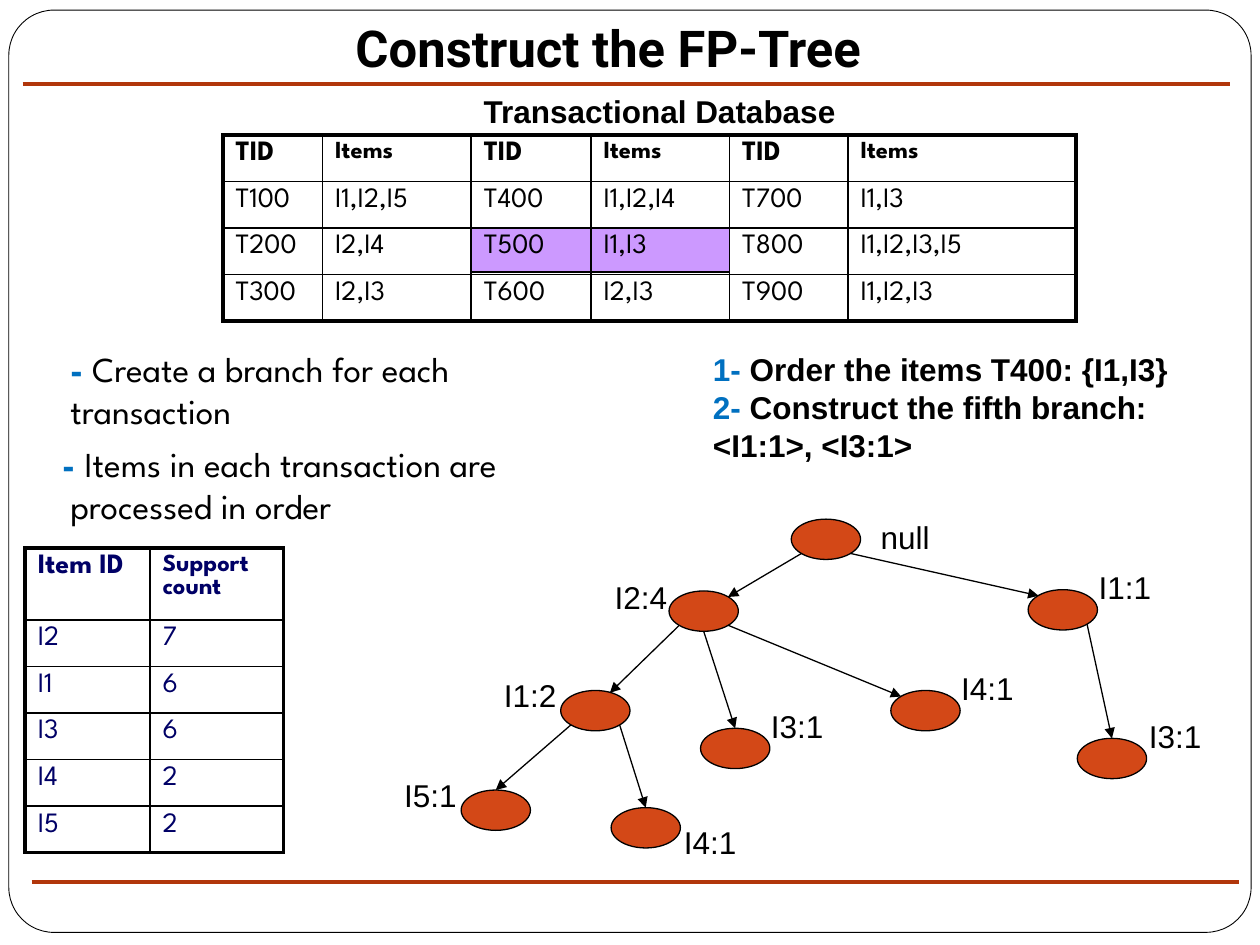
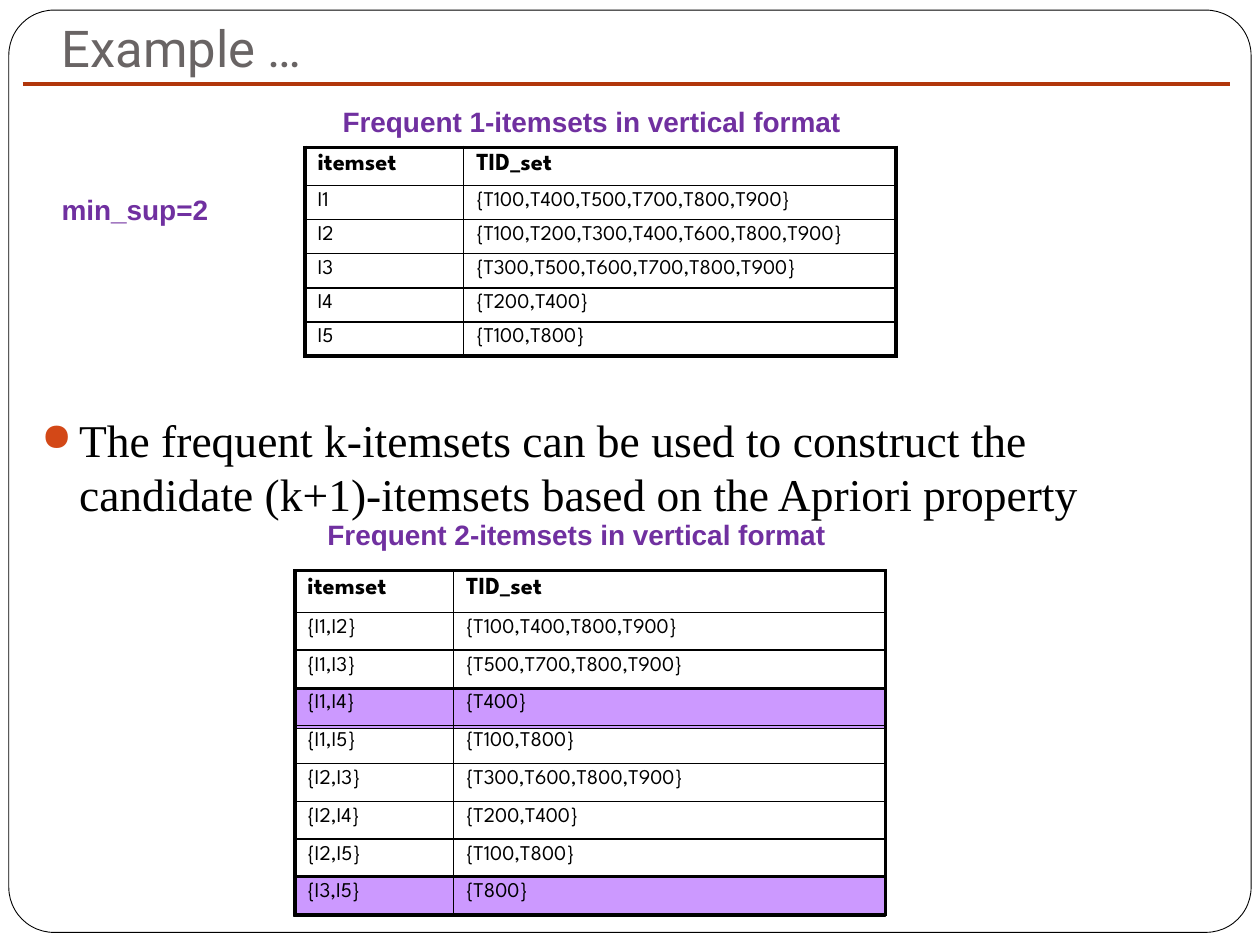
from dataclasses import dataclass

from lxml.etree import SubElement
from pptx import Presentation
from pptx.dml.color import RGBColor as RGB
from pptx.enum.shapes import MSO_CONNECTOR as CONN, MSO_SHAPE as SHAPE
from pptx.enum.text import MSO_ANCHOR as ANCHOR, PP_ALIGN as ALIGN
from pptx.oxml import parse_xml
from pptx.oxml.ns import nsdecls, qn
from pptx.util import Inches, Pt


@dataclass(frozen=True)
class Theme:
    black: RGB = RGB(0, 0, 0)
    white: RGB = RGB(255, 255, 255)
    gray: RGB = RGB.from_string("696464")
    rule: RGB = RGB.from_string("B1360B")
    node: RGB = RGB.from_string("D34817")
    navy: RGB = RGB.from_string("000066")
    blue: RGB = RGB.from_string("0070C0")
    purple: RGB = RGB.from_string("7030A0")
    lilac: RGB = RGB.from_string("CC99FF")
    head_font: str = "Roboto"
    table_font: str = "League Spartan"
    label_font: str = "Arial"
    body_font: str = "Times New Roman"
    title: int = 29
    body: int = 26
    note: int = 20
    label: int = 18
    cell: int = 16
    caption: int = 16
    small_head: int = 14
    small_cell: int = 12


T = Theme()


def add_text(slide, box, paragraphs, font, size, bold=False, wrap=False):
    """Add a text box; each paragraph is a list of (text, colour) runs."""
    tf = slide.shapes.add_textbox(*map(Inches, box)).text_frame
    tf.word_wrap = wrap
    for i, runs in enumerate(paragraphs):
        p = tf.paragraphs[0] if i == 0 else tf.add_paragraph()
        for text, color in runs:
            r = p.add_run()
            r.text = text
            r.font.name, r.font.size, r.font.bold = font, Pt(size), bold
            r.font.color.rgb = color
    return tf


def add_grid(slide, at, widths, heights, rows, head_sizes, size, color):
    """Add an unfilled table with a thick outer border and thin inner lines."""
    n_rows, n_cols = len(rows), len(widths)
    box = (*at, sum(widths), sum(heights))
    table = slide.shapes.add_table(n_rows, n_cols, *map(Inches, box)).table
    table.first_row = table.horz_banding = False
    for col, width in zip(table.columns, widths):
        col.width = Inches(width)
    for row, height in zip(table.rows, heights):
        row.height = Inches(height)
    for i, row in enumerate(rows):
        for j, text in enumerate(row):
            cell = table.cell(i, j)
            cell.fill.background()
            cell.margin_bottom = Inches(0.02)
            r = cell.text_frame.paragraphs[0].add_run()
            r.text = text
            r.font.name, r.font.bold = T.table_font, i == 0
            r.font.size = Pt(head_sizes[j] if i == 0 else size)
            r.font.color.rgb = color
            outer = {"L": j == 0, "R": j == n_cols - 1,
                     "T": i == 0, "B": i == n_rows - 1}
            for k, (side, thick) in enumerate(outer.items()):
                cell._tc.get_or_add_tcPr().insert(k, parse_xml(
                    f'<a:ln{side} {nsdecls("a")} w="{Pt(2.25 if thick else 1)}">'
                    f'<a:solidFill><a:srgbClr val="{T.black}"/></a:solidFill>'
                    f'</a:ln{side}>'))


prs = Presentation()
prs.slide_width, prs.slide_height = Inches(10), Inches(7.5)
tree_slide, example_slide = slides = [
    prs.slides.add_slide(prs.slide_layouts[6]) for _ in range(2)]

# Tree nodes: left, top, label, label left, label top
NODE_W, NODE_H = 0.55, 0.32
nodes = {
    "root": (6.28, 4.12, "null", 6.89, 4.06),
    "I2": (5.31, 4.69, "I2:4", 4.78, 4.54),
    "I2-I1": (4.45, 5.48, "I1:2", 3.9, 5.32),
    "I2-I1-I5": (3.66, 6.27, "I5:1", 3.11, 6.11),
    "I2-I4": (7.07, 5.48, "I4:1", 7.53, 5.26),
    "I2-I3": (5.56, 5.78, "I3:1", 6.02, 5.56),
    "I2-I1-I4": (4.85, 6.41, "I4:1", 5.33, 6.48),
    "I1": (8.16, 4.68, "I1:1", 8.62, 4.46),
    "I1-I3": (8.55, 5.86, "I3:1", 9.02, 5.64),
}
# Points on an ellipse, as fractions of its width and height
sites = {"top": (0.5, 0), "bottom": (0.5, 1),
         "top left": (0.15, 0.15), "top right": (0.85, 0.15),
         "upper right": (0.71, 0.06),
         "bottom left": (0.15, 0.85), "bottom right": (0.85, 0.85)}
branches = [
    ("root", "bottom left", "I2", "top right"),
    ("root", "bottom right", "I1", "top left"),
    ("I2", "bottom left", "I2-I1", "upper right"),
    ("I2", "bottom", "I2-I3", "top"),
    ("I2", "bottom right", "I2-I4", "top left"),
    ("I2-I1", "bottom left", "I2-I1-I5", "top"),
    ("I2-I1", "bottom right", "I2-I1-I4", "top"),
    ("I1", "bottom right", "I1-I3", "top"),
]

# Frames, highlight bands and tree nodes
shapes = [(s, SHAPE.ROUNDED_RECTANGLE, (0.07, 0.08, 9.86, 7.32), T.white, 0.5)
          for s in slides]
shapes += [
    (tree_slide, SHAPE.RECTANGLE, (3.74, 1.81, 2.05, 0.35), T.lilac, 0.75),
    (example_slide, SHAPE.RECTANGLE, (2.33, 5.47, 4.69, 0.31), T.lilac, 0.75),
    (example_slide, SHAPE.RECTANGLE, (2.33, 6.95, 4.7, 0.32), T.lilac, 0.75),
]
shapes += [(tree_slide, SHAPE.OVAL, (x, y, NODE_W, NODE_H), T.node, 0.75)
           for x, y, *_ in nodes.values()]
for s, kind, box, fill, width in shapes:
    sp = s.shapes.add_shape(kind, *map(Inches, box))
    sp.shadow.inherit = False
    sp.fill.solid()
    sp.fill.fore_color.rgb = fill
    sp.line.color.rgb = T.black
    sp.line.width = Pt(width)
    if kind == SHAPE.ROUNDED_RECTANGLE:
        sp.adjustments[0] = 0.049

# Rules and tree arrows
lines = [(s, (0.18, 0.67, 9.76, 0.67), T.rule, 2.25, False) for s in slides]
lines.append((tree_slide, (0.25, 7, 9.83, 7), T.rule, 2.25, False))
for parent, start, child, end in branches:
    ends = [nodes[name][axis] + sites[site][axis] * size
            for name, site in ((parent, start), (child, end))
            for axis, size in enumerate((NODE_W, NODE_H))]
    lines.append((tree_slide, ends, T.black, 0.75, True))
for s, ends, color, width, arrow in lines:
    line = s.shapes.add_connector(CONN.STRAIGHT, *map(Inches, ends))
    line.line.color.rgb = color
    line.line.width = Pt(width)
    if arrow:
        SubElement(line.line._get_or_add_ln(), qn("a:tailEnd"), type="triangle")
    SubElement(line._element.spPr, qn("a:effectLst"))

# Titles
for s, box, text, color, bold, align in [
    (tree_slide, (0.33, 0.21, 9, 0.51), "Construct the FP-Tree",
     T.black, True, ALIGN.CENTER),
    (example_slide, (0.39, 0.17, 9, 0.55), "Example …",
     T.gray, False, ALIGN.LEFT),
]:
    tf = add_text(s, box, [[(text, color)]], T.head_font, T.title, bold, True)
    tf.vertical_anchor = ANCHOR.BOTTOM
    tf.margin_bottom = Inches(0.1)
    tf.paragraphs[0].alignment = align

# Slide 1: transactions, notes, support counts and node labels
add_text(tree_slide, (3.74, 0.68, 3.01, 0.4),
         [[("Transactional Database", T.black)]], T.label_font, T.label, True)
add_grid(tree_slide, (1.77, 1.07), [0.79, 1.18, 0.95, 1.1, 0.94, 1.81],
         [0.37] * 4,
         [["TID", "Items"] * 3,
          ["T100", "I1,I2,I5", "T400", "I1,I2,I4", "T700", "I1,I3"],
          ["T200", "I2,I4", "T500", "I1,I3", "T800", "I1,I2,I3,I5"],
          ["T300", "I2,I3", "T600", "I2,I3", "T900", "I1,I2,I3"]],
         [T.cell, T.small_head] * 3, T.cell, T.black)
add_grid(tree_slide, (0.2, 4.35), [0.99, 1.06], [0.57] + [0.37] * 5,
         [["Item ID", "Support count"], ["I2", "7"], ["I1", "6"],
          ["I3", "6"], ["I4", "2"], ["I5", "2"]],
         [T.cell, T.small_head], T.cell, T.navy)

notes = ["Create a branch for each transaction",
         "Items in each transaction are processed in order"]
tf = add_text(tree_slide, (0.04, 2.71, 4.8, 1.34),
              [[("-", T.blue), (f" {note}", T.black)] for note in notes],
              T.table_font, T.note, wrap=True)
for p, indent in zip(tf.paragraphs, (0, -0.06)):
    p._p.get_or_add_pPr().set("marL", str(Inches(0.42)))
    p._p.get_or_add_pPr().set("indent", str(Inches(indent)))
    p.runs[0].font.bold = True
tf.paragraphs[1].space_before = Pt(6)

add_text(tree_slide, (5.56, 2.73, 3.81, 1),
         [[("1- ", T.blue), ("Order the items T400: {I1,I3}", T.black)],
          [("2- ", T.blue), ("Construct the fifth branch:", T.black)],
          [("<I1:1>, <I3:1>", T.black)]], T.label_font, T.label, True)
for _, _, label, x, y in nodes.values():
    add_text(tree_slide, (x, y, 0.59 if label == "null" else 0.62, 0.4),
             [[(label, T.black)]], T.label_font, T.label)

# Slide 2: captions, body and itemset tables
for text, box in [
    ("Frequent 1-itemsets in vertical format", (2.62, 0.78, 4.21, 0.37)),
    ("min_sup=2", (0.39, 1.48, 1.38, 0.37)),
    ("Frequent 2-itemsets in vertical format", (2.5, 4.06, 4.21, 0.37)),
]:
    add_text(example_slide, box, [[(text, T.purple)]],
             T.label_font, T.caption, True)

tf = add_text(example_slide, (0.23, 3.22, 9.2, 0.95),
              [[("The frequent k-itemsets can be used to construct the candidate "
                 "(k+1)-itemsets based on the Apriori property", T.black)]],
              T.body_font, T.body, wrap=True)
pPr = tf.paragraphs[0]._p.get_or_add_pPr()
pPr.set("marL", str(Inches(0.3)))
pPr.set("indent", str(Inches(-0.3)))
SubElement(SubElement(pPr, qn("a:buClr")), qn("a:srgbClr"), val=str(T.node))
SubElement(pPr, qn("a:buSzPct"), val="85000")
SubElement(pPr, qn("a:buChar"), char="●")

header = ["itemset", "TID_set"]
one_itemsets = [
    header,
    ["I1", "{T100,T400,T500,T700,T800,T900}"],
    ["I2", "{T100,T200,T300,T400,T600,T800,T900}"],
    ["I3", "{T300,T500,T600,T700,T800,T900}"],
    ["I4", "{T200,T400}"],
    ["I5", "{T100,T800}"],
]
two_itemsets = [
    header,
    ["{I1,I2}", "{T100,T400,T800,T900}"],
    ["{I1,I3}", "{T500,T700,T800,T900}"],
    ["{I1,I4}", "{T400}"],
    ["{I1,I5}", "{T100,T800}"],
    ["{I2,I3}", "{T300,T600,T800,T900}"],
    ["{I2,I4}", "{T200,T400}"],
    ["{I2,I5}", "{T100,T800}"],
    ["{I3,I5}", "{T800}"],
]
for at, heights, rows in [
    ((2.42, 1.17), [0.28] + [0.27] * 5, one_itemsets),
    ((2.34, 4.53), [0.33] + [0.3] * 8, two_itemsets),
]:
    add_grid(example_slide, at, [1.26, 3.43], heights, rows,
             [T.small_head] * 2, T.small_cell, T.black)

prs.save("out.pptx")
